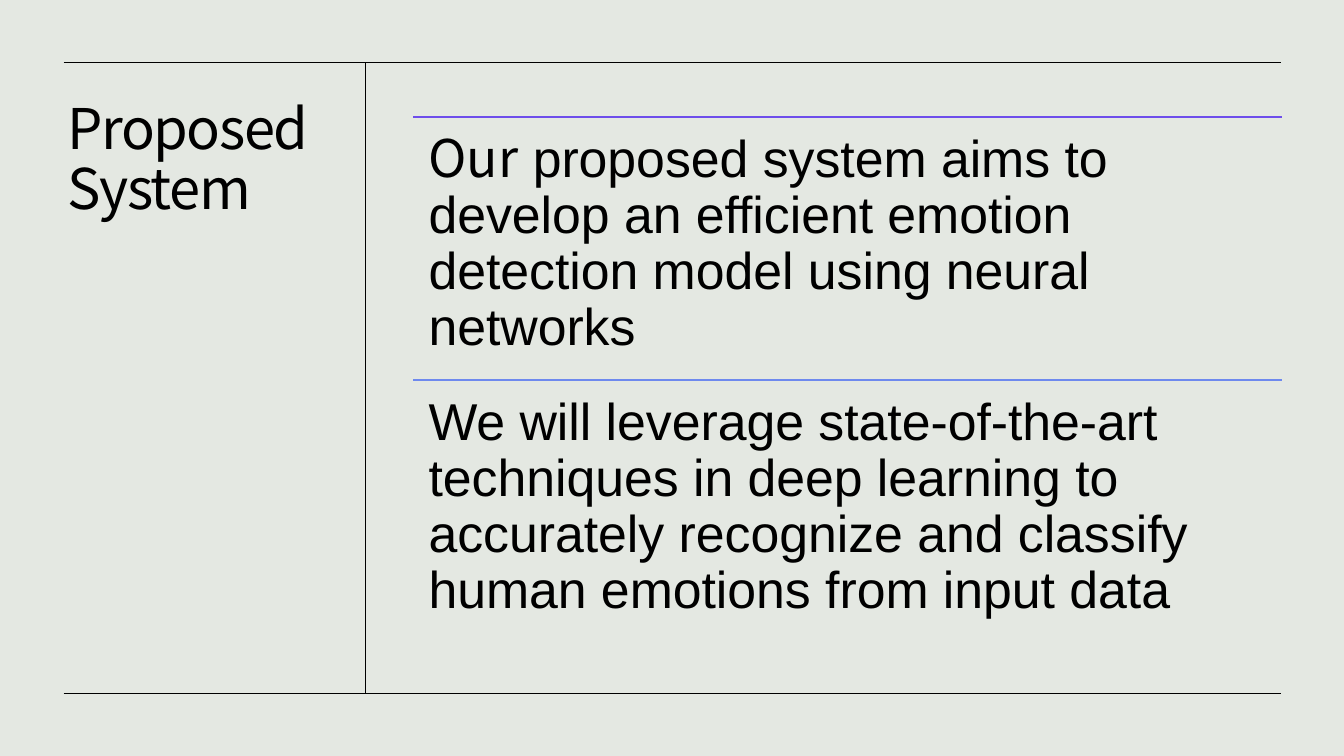
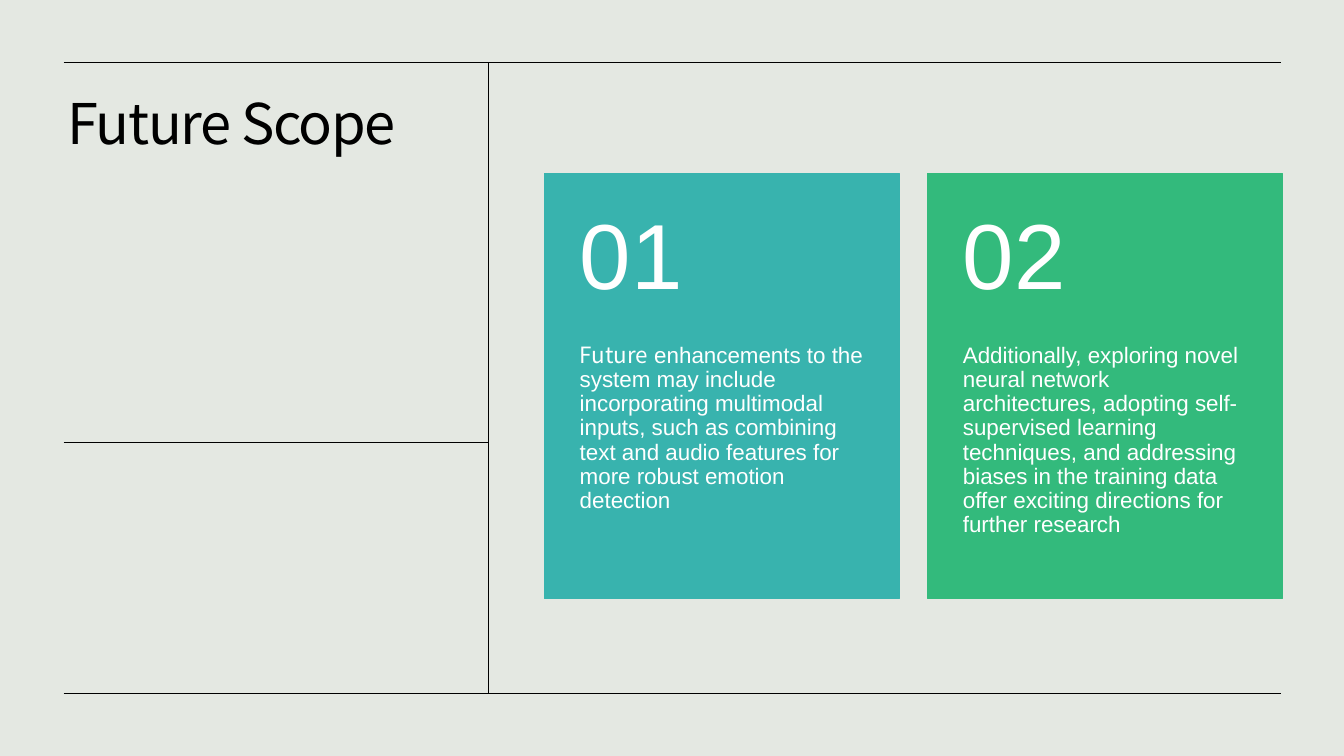
from lxml import etree
from pptx import Presentation
from pptx.dml.color import RGBColor as RGB
from pptx.enum.shapes import MSO_CONNECTOR as CONN, MSO_SHAPE as SHAPE
from pptx.enum.text import MSO_ANCHOR as ANCHOR
from pptx.oxml.ns import qn
from pptx.util import Inches, Pt

COLORS = {
    "background": "E4E8E2",
    "ink": "000000",
    "white": "FFFFFF",
    "violet": "6E4EEB",
    "blue": "6E89EE",
    "teal": "38B3AE",
    "green": "33BA7C",
}
HEAD_FONT, BODY_FONT = "Noto Sans CJK KR", "Arial"
LINE_PITCH = 1.08  # line spacing as a multiple of the text size
LEFT, TOP, RIGHT, BOTTOM = 0.63, 0.62, 12.71, 6.88

STATEMENTS = [
    ("violet", [("Our", HEAD_FONT),
                (" proposed system aims to develop an efficient emotion detection "
                 "model using neural networks", BODY_FONT)]),
    ("blue", [("We will leverage state-of-the-art techniques in deep learning to "
               "accurately recognize and classify human emotions from input data",
               BODY_FONT)]),
]
CARDS = [
    ("teal", "01", [("Future", HEAD_FONT),
                    (" enhancements to the system may include incorporating "
                     "multimodal inputs, such as combining text and audio features "
                     "for more robust emotion detection", BODY_FONT)]),
    ("green", "02", [("Additionally, exploring novel neural network architectures, "
                      "adopting self-supervised learning techniques, and addressing "
                      "biases in the training data offer exciting directions for "
                      "further research", BODY_FONT)]),
]


def color(name):
    return RGB.from_string(COLORS[name])


def add_line(slide, x1, y1, x2, y2, name="ink", width=0.5):
    line = slide.shapes.add_connector(
        CONN.STRAIGHT, Inches(x1), Inches(y1), Inches(x2), Inches(y2))
    line.line.color.rgb = color(name)
    line.line.width = Pt(width)
    etree.SubElement(line._element.spPr, qn("a:effectLst"))


def add_text(slide, box, runs, size, name="ink", insets=(0.1, 0.05, 0.1, 0.05),
             anchor=ANCHOR.TOP, tracking=None):
    """Add one paragraph of (text, font) runs; insets are left, top, right, bottom."""
    tf = slide.shapes.add_textbox(*map(Inches, box)).text_frame
    margins = zip(("left", "top", "right", "bottom"), insets)
    formats = {f"margin_{side}": Inches(inset) for side, inset in margins}
    formats |= {"word_wrap": True, "vertical_anchor": anchor}
    for key, value in formats.items():
        setattr(tf, key, value)
    p = tf.paragraphs[0]
    p.line_spacing = Pt(size * LINE_PITCH)
    for text, font in runs:
        r = p.add_run()
        r.text = text
        for key, value in {"name": font, "size": Pt(size)}.items():
            setattr(r.font, key, value)
        r.font.color.rgb = color(name)
        if tracking is not None:
            r._r.get_or_add_rPr().set("spc", str(tracking * 100))


def add_frame(prs, title, title_box, divider):
    """Add a slide with its title, top and bottom rules and vertical divider."""
    slide = prs.slides.add_slide(prs.slide_layouts[6])
    add_text(slide, title_box, [(title, HEAD_FONT)], 40, tracking=-1)
    for y in (TOP, BOTTOM):
        add_line(slide, LEFT, y, RIGHT, y)
    add_line(slide, divider, TOP, divider, BOTTOM)
    return slide


def add_statement(slide, box, accent, runs):
    x, y, w, _ = box
    add_line(slide, x, y, x + w, y, accent, 1)
    add_text(slide, box, runs, 37, insets=(0.15,) * 4)


def add_card(slide, box, fill, number, runs):
    x, y, w, h = box
    head = h * 0.4
    sp = slide.shapes.add_shape(SHAPE.RECTANGLE, *map(Inches, box))
    sp.shadow.inherit = False
    sp.fill.solid()
    sp.fill.fore_color.rgb = sp.line.color.rgb = color(fill)
    sp.line.width = Pt(1)
    add_text(slide, (x, y + head, w, h - head), runs, 16, "white",
             (0.35, 0, 0.35, 0.36))
    add_text(slide, (x, y, w, head), [(number, BODY_FONT)], 66, "white",
             (0.35, 0.18, 0.35, 0.18), ANCHOR.MIDDLE)


def build_proposed_system(prs):
    slide = add_frame(prs, "Proposed System", (0.57, 0.94, 2.72, 5.75), 3.62)
    x, y, w, h = 4.1, 1.16, 8.62, 5.22
    row = h / len(STATEMENTS)
    for i, (accent, runs) in enumerate(STATEMENTS):
        add_statement(slide, (x, y + i * row, w, row), accent, runs)


def build_future_scope(prs):
    divider = 4.84
    slide = add_frame(prs, "Future Scope", (0.57, 0.9, 4, 2.88), divider)
    add_line(slide, LEFT, 4.39, divider, 4.39)
    x, y, w, h, gap = 5.4, 1.72, 3.52, 4.22, 0.28
    for i, card in enumerate(CARDS):
        add_card(slide, (x + i * (w + gap), y, w, h), *card)


def main():
    prs = Presentation()
    prs.slide_width, prs.slide_height = Inches(13.33), Inches(7.5)
    fill = prs.slide_master.background.fill
    fill.solid()
    fill.fore_color.rgb = color("background")
    build_proposed_system(prs)
    build_future_scope(prs)
    prs.save("out.pptx")


if __name__ == "__main__":
    main()
